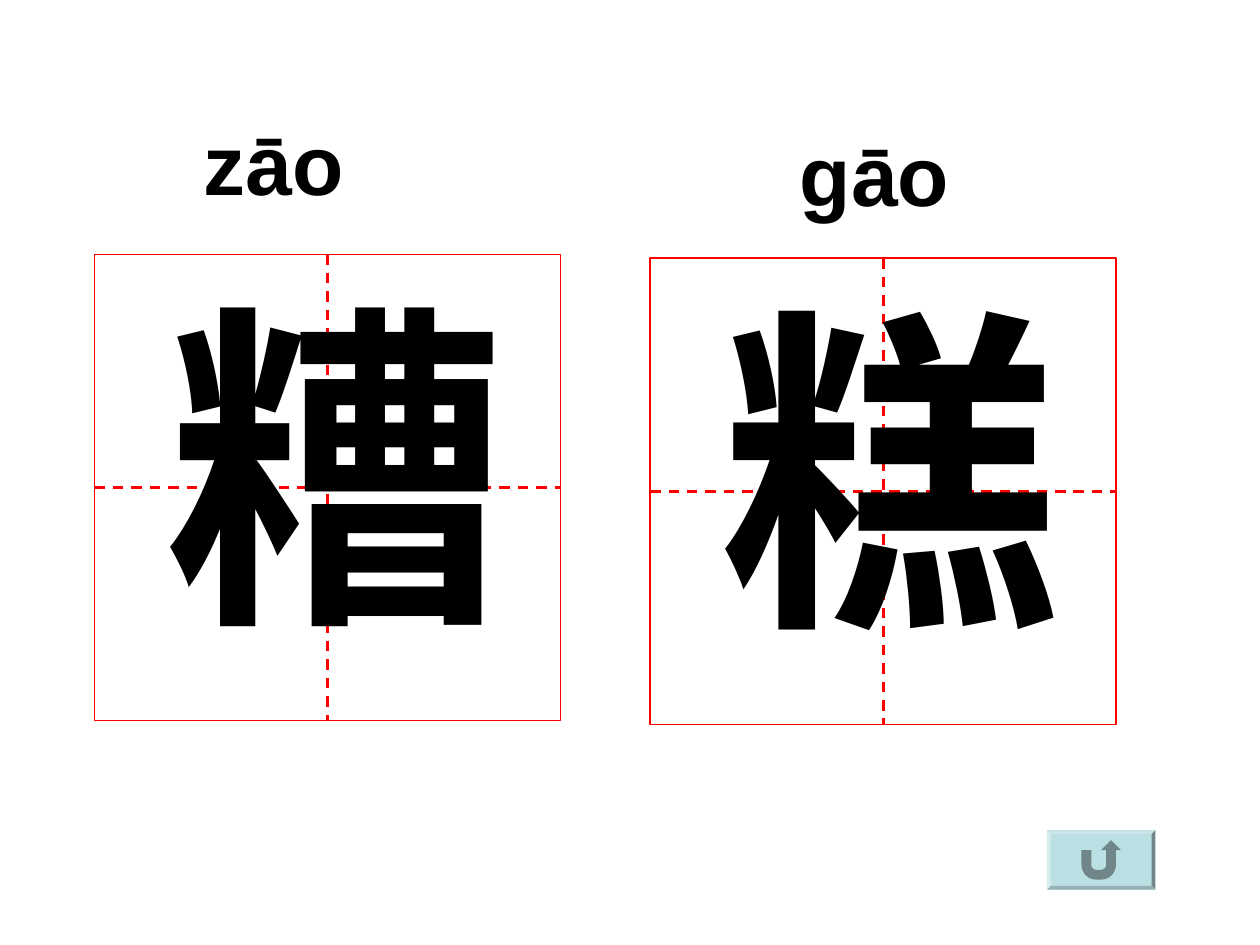
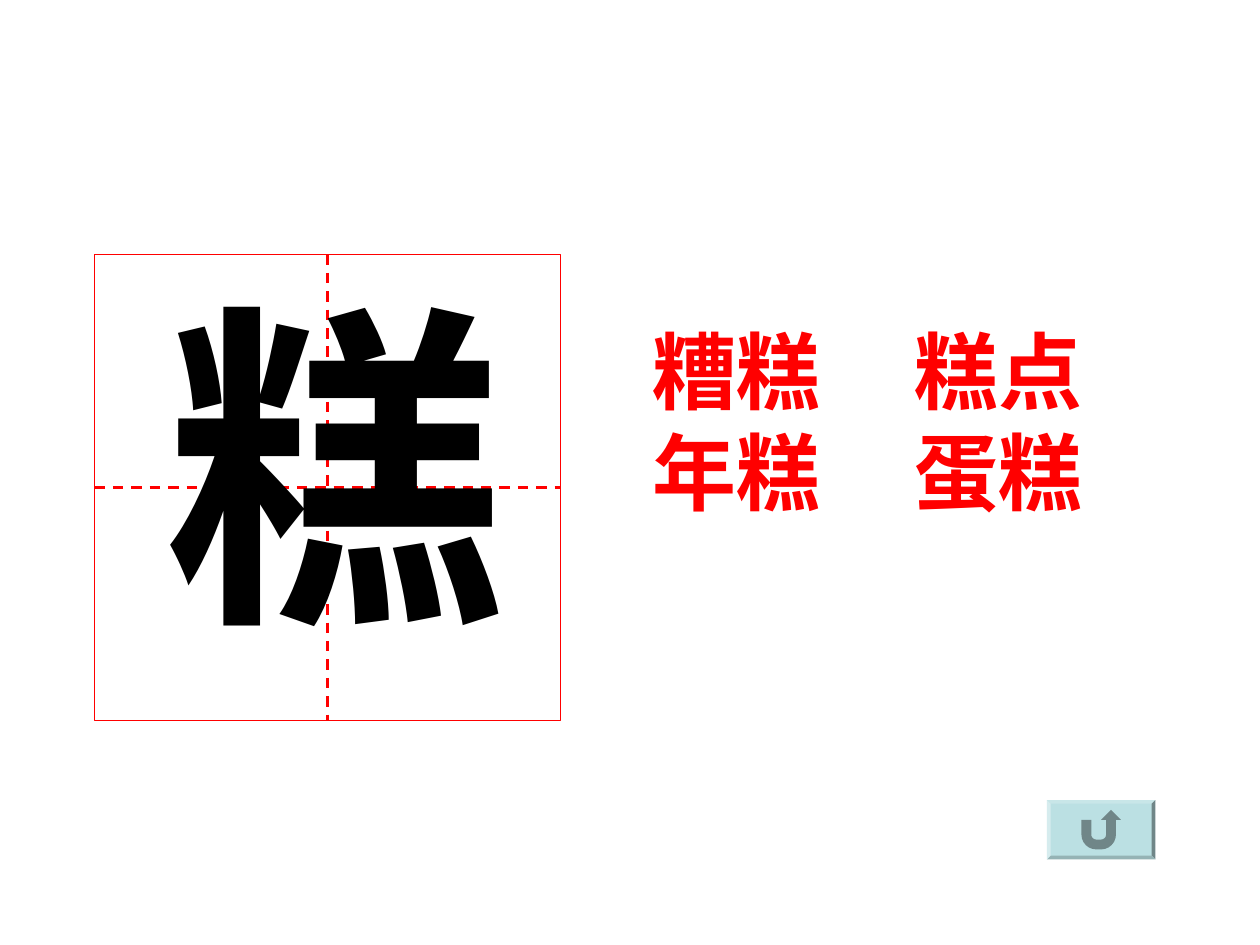
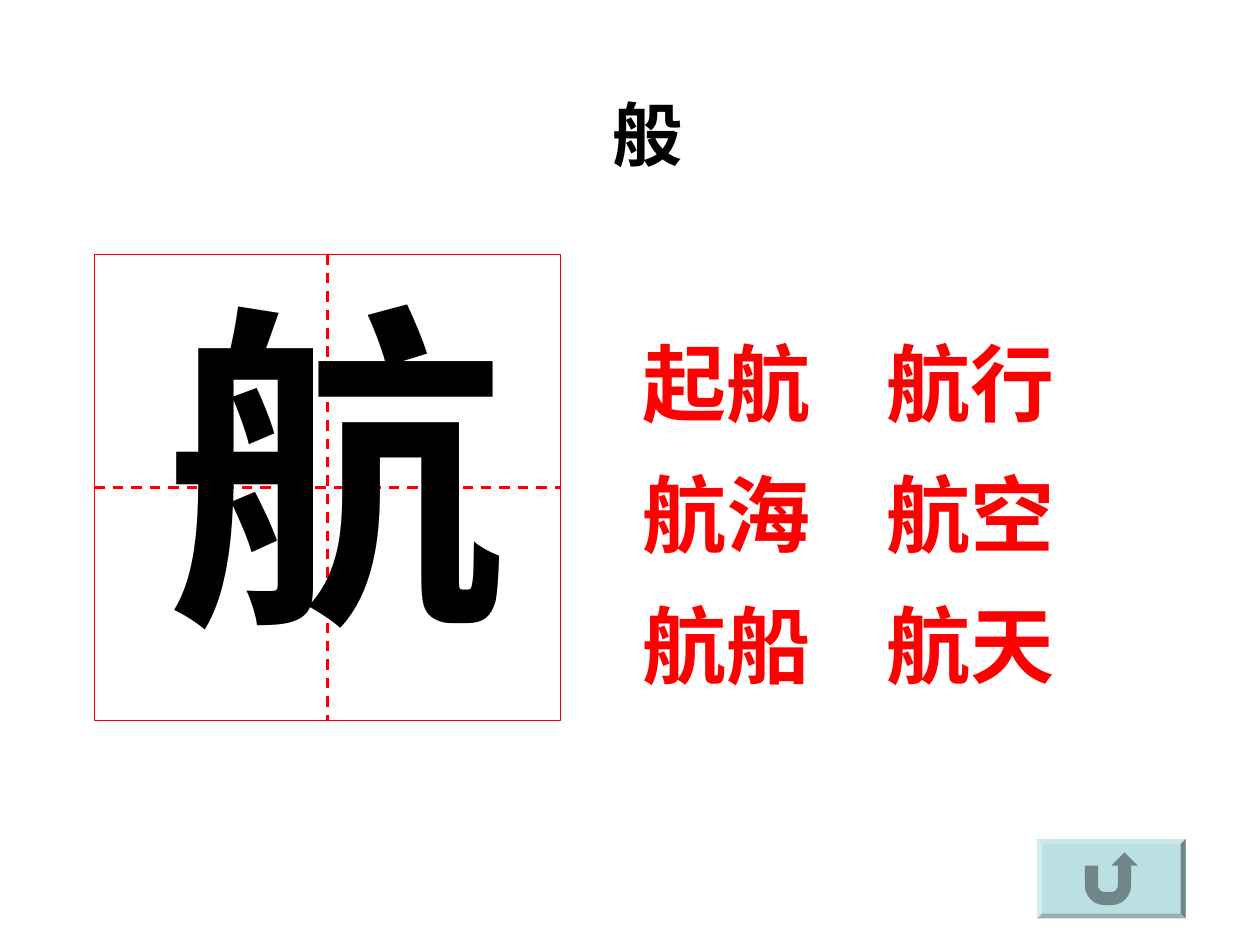
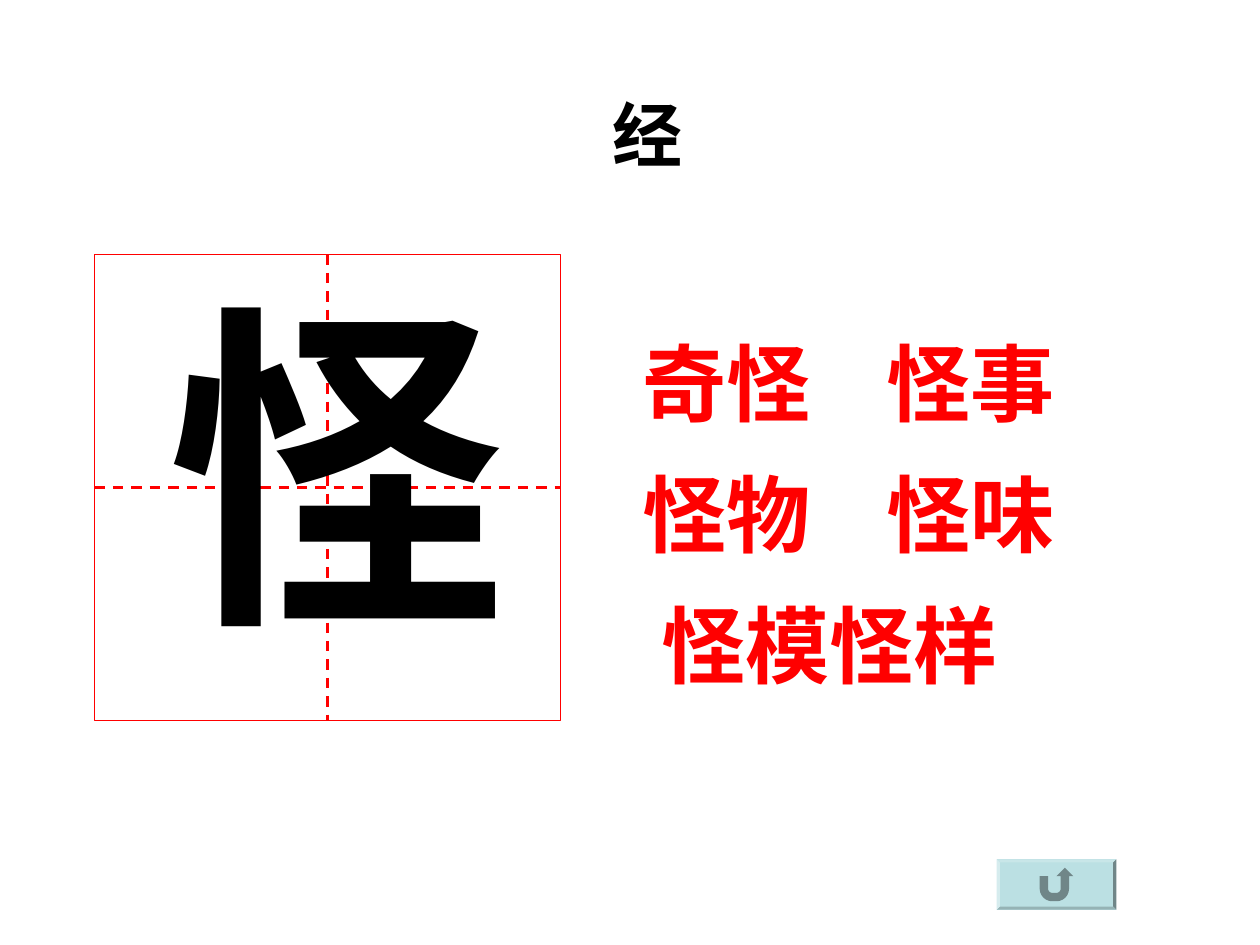
import copy
import math

from lxml import etree
from pptx import Presentation
from pptx import util as u
from pptx.dml.color import RGBColor
from pptx.enum import dml, shapes, text
from pptx.oxml.ns import qn

PX = 9144  # EMU; 100 px to the inch
BLACK = RGBColor(0x00, 0x00, 0x00)
WHITE = RGBColor(0xFF, 0xFF, 0xFF)
RED = RGBColor(0xFF, 0x00, 0x00)
TEAL = RGBColor(0xBB, 0xE0, 0xE3)
LATIN, HAN = "Arial", "Noto Sans CJK SC"
GRID = 370
# Shading of the button's face, top, right, bottom and left edges, and arrow.
SHADES = ["norm", "lightenLess", "darken", "darkenLess", "lighten", "darken"]

# Each grid: character, left, top. Each label: text, size, left, top, width, height.
# Each word list: left, top, height, line spacing, second column, rows.
# Each button: left, top, width, height.
lessons = [
    {
        "grids": [("糟", 75, 202), ("糕", 516, 205)],
        "labels": [("zāo", 48, 152, 84, 131, 90), ("gāo", 48, 625, 92, 140, 90)],
        "button": (831, 659, 86, 47),
    },
    {
        "grids": [("糕", 75, 202)],
        "words": (508, 249, 170, 1.0, 208, [("糟糕", "糕点"), ("年糕", "蛋糕")]),
        "button": (831, 635, 86, 47),
    },
    {
        "grids": [("航", 75, 202)],
        "words": (500, 234, 322, 1.3, 194,
                  [("起航", "航行"), ("航海", "航空"), ("航船", "航天")]),
        "labels": [("般", 40, 476, 68, 77, 77)],
        "button": (823, 666, 118, 63),
    },
    {
        "grids": [("怪", 75, 202)],
        "words": (500, 234, 322, 1.3, 194,
                  [("奇怪", "怪事"), ("怪物", "怪味"), ("怪模怪样",)]),
        "labels": [("经", 40, 476, 68, 77, 77)],
        "button": (791, 682, 95, 40),
    },
]

# Outline of the return arrow, on a field four units wide and high.
inner_bend = [(1.5, 0.5, 180, 90), (2, 0.5, 90, 0)]
outer_bend = [(2, 1.5, 0, 90), (1.5, 1.5, 90, 180)]
arrow = [(0, 1), (1, 1)]
for bend, tail in [(inner_bend, [(2.5, 1), (2, 1), (3, 0), (4, 1), (3.5, 1)]),
                   (outer_bend, [])]:
    for center, radius, first, last in bend:
        for step in range(7):
            angle = math.radians(first + (last - first) * step / 6)
            arrow.append((center + radius * math.cos(angle),
                          2.5 + radius * math.sin(angle)))
    arrow += tail


def add_box(parent, left, top, width, height, wrap=True):
    box = parent.add_textbox(left * PX, top * PX, width * PX, height * PX)
    box.text_frame.word_wrap = wrap
    box.text_frame.auto_size = text.MSO_AUTO_SIZE.SHAPE_TO_FIT_TEXT
    return box.text_frame


def add_span(para, words, size, color, face=LATIN):
    span = para.add_run()
    span.text = words
    span.font.size = u.Pt(size)
    span.font.bold = True
    span.font.color.rgb = color
    span.font.name = face
    etree.SubElement(span.font._element, qn("a:ea"), typeface=face)


deck = Presentation()
deck.slide_width, deck.slide_height = 1000 * PX, 750 * PX

for lesson in lessons:
    page = deck.slides.add_slide(deck.slide_layouts[6])
    page.background.fill.solid()
    page.background.fill.fore_color.rgb = WHITE

    for character, left, top in lesson["grids"]:
        group = page.shapes.add_group_shape().shapes
        square = group.add_shape(shapes.MSO_SHAPE.RECTANGLE,
                                 left * PX, top * PX, GRID * PX, GRID * PX)
        square.shadow.inherit = False
        square.fill.solid()
        square.fill.fore_color.rgb = WHITE
        square.line.color.rgb = RED
        square.line.width = u.Pt(1)
        for start, end in [(1, 3), (0, 2)]:
            guide = group.add_connector(shapes.MSO_CONNECTOR.STRAIGHT, 0, 0, 0, 0)
            guide.begin_connect(square, start)
            guide.end_connect(square, end)
            guide.line.color.rgb = RED
            guide.line.width = u.Pt(1.5)
            guide.line.dash_style = dml.MSO_LINE.DASH
            etree.SubElement(guide._element.spPr, qn("a:effectLst"))
        frame = add_box(group, left + 47, top - 3, 307, 334)
        add_span(frame.paragraphs[0], character, 194, BLACK, HAN)

    if "words" in lesson:
        left, top, height, spacing, column, rows = lesson["words"]
        frame = add_box(page.shapes, left, top, 449, height)
        for index, row in enumerate(rows):
            para = frame.add_paragraph() if index else frame.paragraphs[0]
            para.line_spacing = spacing
            properties = para._p.get_or_add_pPr()
            if len(row) == 1:
                properties.set("marL", str(15 * PX))
            else:
                tabs = etree.SubElement(properties, qn("a:tabLst"))
                etree.SubElement(tabs, qn("a:tab"), pos=str(column * PX), algn="l")
            add_span(para, "\t".join(row), 48, RED)

    for words, size, left, top, width, height in lesson.get("labels", []):
        frame = add_box(page.shapes, left, top, width, height, wrap=False)
        add_span(frame.paragraphs[0], words, size, BLACK)

    left, top, width, height = lesson["button"]
    edge, unit = height / 16, height / 6
    arrow_left, arrow_top = left + width / 2 - 2 * unit, top + unit
    right, bottom = left + width, top + height
    outer = [(left, top), (right, top), (right, bottom), (left, bottom)]
    inner = [(left + edge, top + edge), (right - edge, top + edge),
             (right - edge, bottom - edge), (left + edge, bottom - edge)]
    outlines = [outer]
    for side in range(4):
        following = (side + 1) % 4
        outlines.append([outer[side], outer[following], inner[following], inner[side]])
    outlines.append([(arrow_left + x * unit, arrow_top + y * unit) for x, y in arrow])

    builder = page.shapes.build_freeform(left * PX, top * PX)
    for index, outline in enumerate(outlines):
        points = [(round(x * PX), round(y * PX)) for x, y in outline]
        if index:
            builder.move_to(*points[0])
        builder.add_line_segments(points[1:], close=True)
    button = builder.convert_to_shape()
    button.shadow.inherit = False
    button.fill.solid()
    button.fill.fore_color.rgb = TEAL
    button.line.fill.background()

    # Give every outline a path of its own, so that each takes its own shade.
    whole = button._element.spPr.find(".//" + qn("a:path"))
    shades = iter(SHADES)
    for command in list(whole):
        if command.tag == qn("a:moveTo"):
            part = copy.deepcopy(whole)
            for child in list(part):
                part.remove(child)
            part.set("fill", next(shades))
            whole.getparent().append(part)
        part.append(command)
    whole.getparent().remove(whole)

deck.save("out.pptx")
